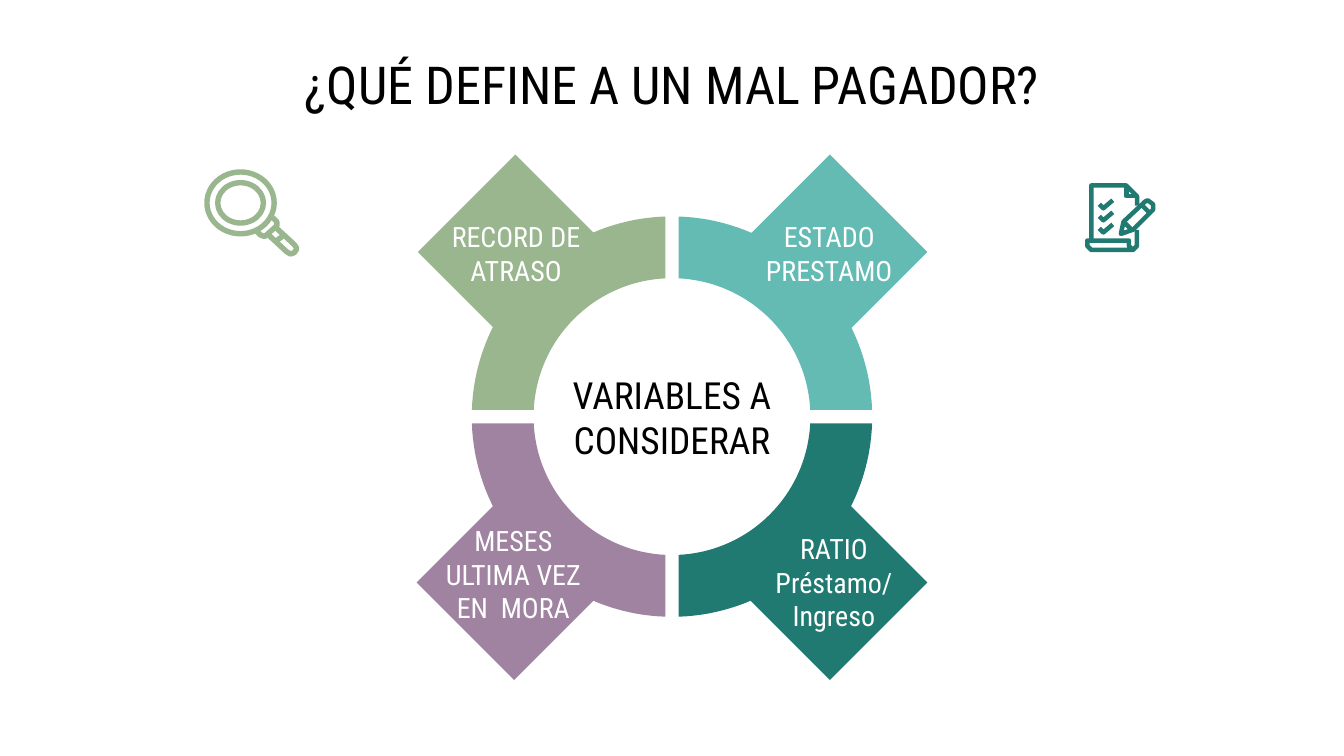
import math
from dataclasses import dataclass

import pptx
import pptx.dml.color
import pptx.enum.shapes
import pptx.enum.text
import pptx.util
from pptx.dml.color import RGBColor
from pptx.util import Inches

GREEN = RGBColor(0x99, 0xB6, 0x8E)
AQUA = RGBColor(0x64, 0xBB, 0xB3)
PURPLE = RGBColor(0x9F, 0x83, 0xA1)
TEAL = RGBColor(0x21, 0x7A, 0x72)
WHITE = RGBColor(0xFF, 0xFF, 0xFF)
BLACK = RGBColor(0, 0, 0)

FONT = "Roboto Condensed"
CENTER_X, CENTER_Y = 5, 3.1
OUTER_RADIUS, INNER_RADIUS = 1.49, 1.03
HALF_GAP = 0.05
ARC_STEPS = 40
DIAMOND_SIZE = 1.45
LENS_STROKE = 2.9
DOCUMENT_STROKE = 2.4

Point = tuple[float, float]
Box = tuple[float, float, float, float]


@dataclass(frozen=True)
class Variable:
    text: str
    color: RGBColor
    side_x: int
    side_y: int
    diamond: Point
    label: Box


@dataclass(frozen=True)
class Stroke:
    points: list[Point]
    closed: bool = False


VARIABLES = [
    Variable("RECORD DE ATRASO", GREEN, -1, -1, (3.11, 1.15), (3.19, 1.67, 1.3, 0.43)),
    Variable("MESES ULTIMA VEZ EN  MORA", PURPLE, -1, 1, (3.1, 3.61), (3.22, 4.16, 1.2, 0.22)),
    Variable("RATIO Préstamo/Ingreso", TEAL, 1, 1, (5.45, 3.61), (5.72, 4.14, 0.97, 0.38)),
    Variable("ESTADO PRESTAMO", AQUA, 1, -1, (5.45, 1.15), (5.52, 1.67, 1.3, 0.43)),
]

LENS_RADII = [(0.25, 0.23), (0.17, 0.15)]
LENS_CENTER = (1.79, 1.51)
HANDLE = [
    Stroke([(1.91, 1.72), (1.94, 1.75), (1.97, 1.76), (2.06, 1.68), (2.06, 1.65), (2.03, 1.62)]),
    Stroke([(2.0, 1.75), (2.13, 1.87), (2.16, 1.89), (2.19, 1.88), (2.21, 1.85),
            (2.19, 1.82), (2.06, 1.7)]),
    Stroke([(2.06, 1.79), (2.1, 1.76)]),
]

DOCUMENT = [
    Stroke([(8.12, 1.79), (8.12, 1.38), (8.38, 1.38), (8.46, 1.46), (8.46, 1.53)]),
    Stroke([(8.38, 1.38), (8.38, 1.46), (8.46, 1.46)]),
    Stroke([(8.46, 1.71), (8.46, 1.83), (8.43, 1.86), (8.12, 1.86), (8.09, 1.83),
            (8.09, 1.79), (8.4, 1.79), (8.4, 1.83), (8.43, 1.86)]),
    Stroke([(8.34, 1.74), (8.36, 1.65), (8.52, 1.5), (8.54, 1.49), (8.58, 1.52),
            (8.58, 1.56), (8.43, 1.71)], True),
    Stroke([(8.5, 1.53), (8.55, 1.58)]),
    Stroke([(8.37, 1.66), (8.42, 1.71)]),
]
CHECK_MARK = [(8.18, 1.52), (8.21, 1.55), (8.28, 1.49)]
CHECK_SPACING = 0.09
CHECK_COUNT = 3


def write_text(shape, text: str, *, size: float, color: RGBColor,
               inset_x: float = 0.04, inset_y: float = 0.02) -> None:
    frame = shape.text_frame
    frame.word_wrap = True
    frame.auto_size = pptx.enum.text.MSO_AUTO_SIZE.NONE
    frame.vertical_anchor = pptx.enum.text.MSO_ANCHOR.MIDDLE
    frame.margin_left = frame.margin_right = Inches(inset_x)
    frame.margin_top = frame.margin_bottom = Inches(inset_y)
    paragraph = frame.paragraphs[0]
    paragraph.alignment = pptx.enum.text.PP_ALIGN.CENTER
    run = paragraph.add_run()
    run.text = text
    run.font.name = FONT
    run.font.size = pptx.util.Pt(size)
    run.font.color.rgb = color


def add_label(slide, box: Box, text: str, size: float, color: RGBColor) -> None:
    label = slide.shapes.add_textbox(*map(Inches, box))
    write_text(label, text, size=size, color=color)


def fill_shape(shape, color: RGBColor) -> None:
    shape.shadow.inherit = False
    shape.fill.solid()
    shape.fill.fore_color.rgb = color
    shape.line.fill.background()


def outline_shape(shape, color: RGBColor, width: float) -> None:
    shape.shadow.inherit = False
    shape.fill.background()
    shape.line.color.rgb = color
    shape.line.width = pptx.util.Pt(width)


def add_outline(slide, points: list[Point], closed: bool):
    corners = [(Inches(x), Inches(y)) for x, y in points]
    builder = slide.shapes.build_freeform(*corners[0])
    builder.add_line_segments(corners[1:], close=closed)
    return builder.convert_to_shape()


def quarter_arc(radius: float, side_x: int, side_y: int) -> list[Point]:
    start = math.asin(HALF_GAP / radius)
    sweep = math.pi / 2 - 2 * start
    angles = [start + sweep * step / ARC_STEPS for step in range(ARC_STEPS + 1)]
    return [(CENTER_X + side_x * radius * math.cos(angle),
             CENTER_Y + side_y * radius * math.sin(angle)) for angle in angles]


def add_ring_quarter(slide, variable: Variable) -> None:
    outer = quarter_arc(OUTER_RADIUS, variable.side_x, variable.side_y)
    inner = quarter_arc(INNER_RADIUS, variable.side_x, variable.side_y)
    fill_shape(add_outline(slide, outer + inner[::-1], True), variable.color)


def add_diamond(slide, variable: Variable) -> None:
    left, top = variable.diamond
    diamond = slide.shapes.add_shape(
        pptx.enum.shapes.MSO_SHAPE.DIAMOND, Inches(left), Inches(top),
        Inches(DIAMOND_SIZE), Inches(DIAMOND_SIZE))
    fill_shape(diamond, variable.color)


def add_strokes(slide, strokes: list[Stroke], color: RGBColor, width: float) -> None:
    for stroke in strokes:
        outline_shape(add_outline(slide, stroke.points, stroke.closed), color, width)


def add_magnifier(slide) -> None:
    x, y = LENS_CENTER
    for radius_x, radius_y in LENS_RADII:
        box = (x - radius_x, y - radius_y, 2 * radius_x, 2 * radius_y)
        lens = slide.shapes.add_shape(pptx.enum.shapes.MSO_SHAPE.OVAL, *map(Inches, box))
        outline_shape(lens, GREEN, LENS_STROKE)
    add_strokes(slide, HANDLE, GREEN, LENS_STROKE)


def add_document(slide) -> None:
    checks = [Stroke([(x, y + row * CHECK_SPACING) for x, y in CHECK_MARK])
              for row in range(CHECK_COUNT)]
    add_strokes(slide, DOCUMENT + checks, TEAL, DOCUMENT_STROKE)


def main() -> None:
    presentation = pptx.Presentation()
    presentation.slide_width = Inches(10)
    presentation.slide_height = Inches(10 * 9 / 16)
    slide = presentation.slides.add_slide(presentation.slide_layouts[5])

    title = slide.shapes.title
    title.left, title.top, title.width, title.height = map(Inches, (0.5, 0.45, 9, 0.35))
    write_text(title, "¿QUÉ DEFINE A UN MAL PAGADOR?", size=28, color=BLACK,
               inset_x=0.1, inset_y=0.1)

    for variable in VARIABLES:
        add_ring_quarter(slide, variable)
    for variable in VARIABLES:
        add_diamond(slide, variable)
    for variable in VARIABLES:
        add_label(slide, variable.label, variable.text, 15, WHITE)
    add_label(slide, (4.14, 2.68, 1.72, 0.85), "VARIABLES A CONSIDERAR", 20, BLACK)

    add_magnifier(slide)
    add_document(slide)
    presentation.save("out.pptx")


if __name__ == "__main__":
    main()
